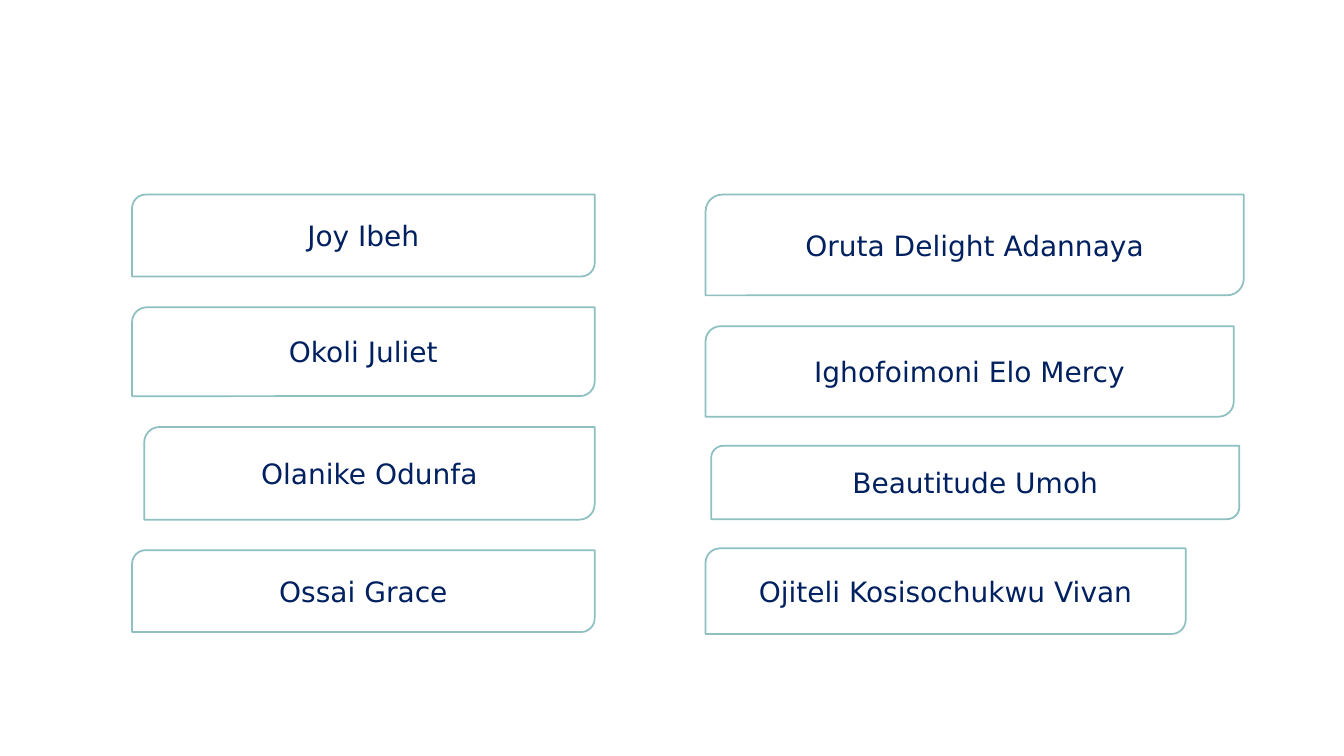
from pptx import Presentation
from pptx.dml.color import RGBColor
from pptx.enum.shapes import MSO_SHAPE
from pptx.enum.text import MSO_ANCHOR, PP_ALIGN
from pptx.util import Pt

WHITE = RGBColor(0xFF, 0xFF, 0xFF)
TEAL = RGBColor(0x8E, 0xC0, 0xC1)
NAVY = RGBColor(0x00, 0x20, 0x60)

NAME_FONT = {"name": "DejaVu Sans", "size": Pt(20)}
MARGINS = {
    "margin_left": Pt(7.2),
    "margin_right": Pt(7.2),
    "margin_top": Pt(3.6),
    "margin_bottom": Pt(3.6),
}

# name, left, top, width, height
NAME_CARDS = [
    ("Joy Ibeh", 94.3, 139, 330.5, 58.5),
    ("Oruta Delight Adannaya", 504, 139, 384.5, 72),
    ("Okoli Juliet", 94.3, 219.5, 330.5, 63.5),
    ("Ighofoimoni Elo Mercy", 504, 233, 377.3, 64.7),
    ("Olanike Odunfa", 103, 305, 321.8, 66.2),
    ("Beautitude Umoh", 508, 318.4, 377.3, 52.5),
    ("Ossai Grace", 94.3, 393, 330.5, 58.5),
    ("Ojiteli Kosisochukwu Vivan", 504, 391.7, 343, 61.2),
]

presentation = Presentation()
presentation.slide_width, presentation.slide_height = Pt(960), Pt(540)
slide = presentation.slides.add_slide(presentation.slide_layouts[6])

for name, *box in NAME_CARDS:
    card = slide.shapes.add_shape(MSO_SHAPE.ROUND_2_DIAG_RECTANGLE, *map(Pt, box))
    card.adjustments[0] = 0.167
    card.adjustments[1] = 0
    card.shadow.inherit = False
    card.fill.solid()
    card.fill.fore_color.rgb = WHITE
    card.line.color.rgb = TEAL
    card.line.width = Pt(1.25)

    text_frame = card.text_frame
    text_frame.word_wrap = True
    text_frame.vertical_anchor = MSO_ANCHOR.MIDDLE
    for margin, value in MARGINS.items():
        setattr(text_frame, margin, value)

    paragraph = text_frame.paragraphs[0]
    paragraph.alignment = PP_ALIGN.CENTER
    run = paragraph.add_run()
    run.text = name
    for attribute, value in NAME_FONT.items():
        setattr(run.font, attribute, value)
    run.font.color.rgb = NAVY

presentation.save("out.pptx")
